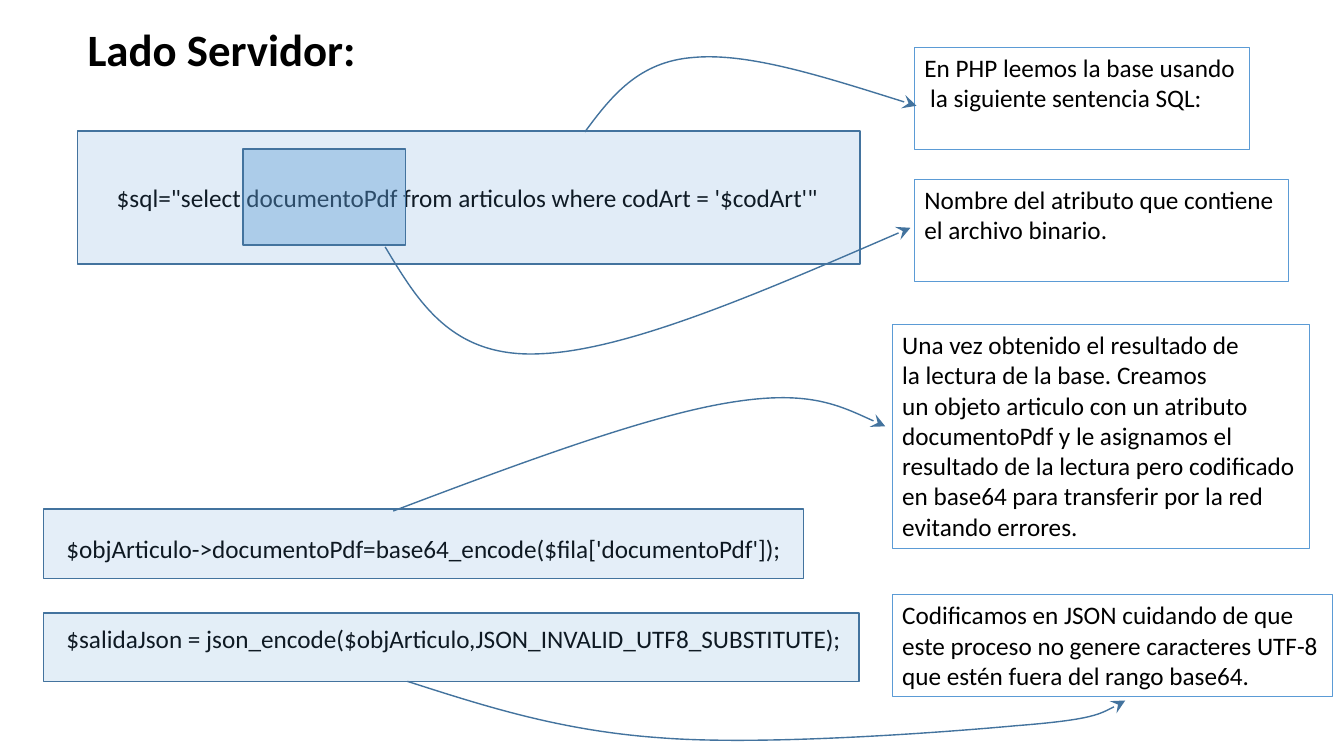
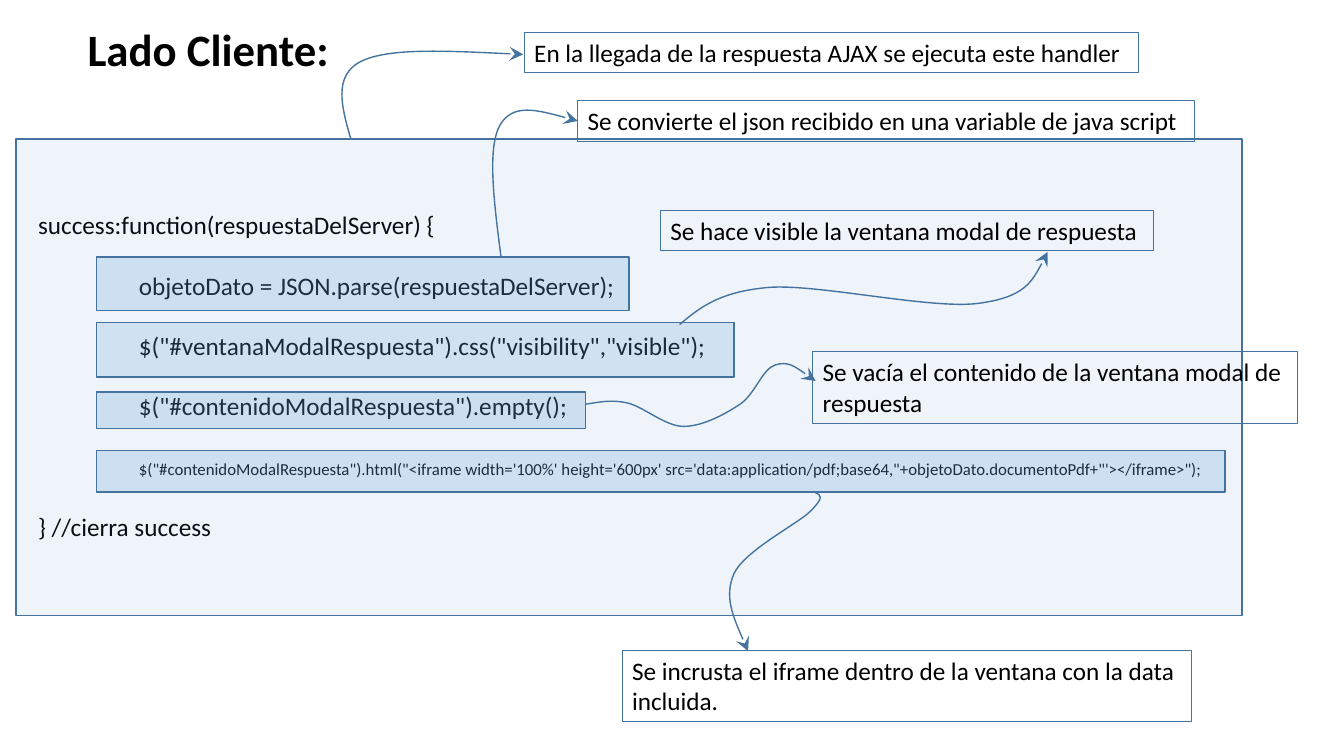
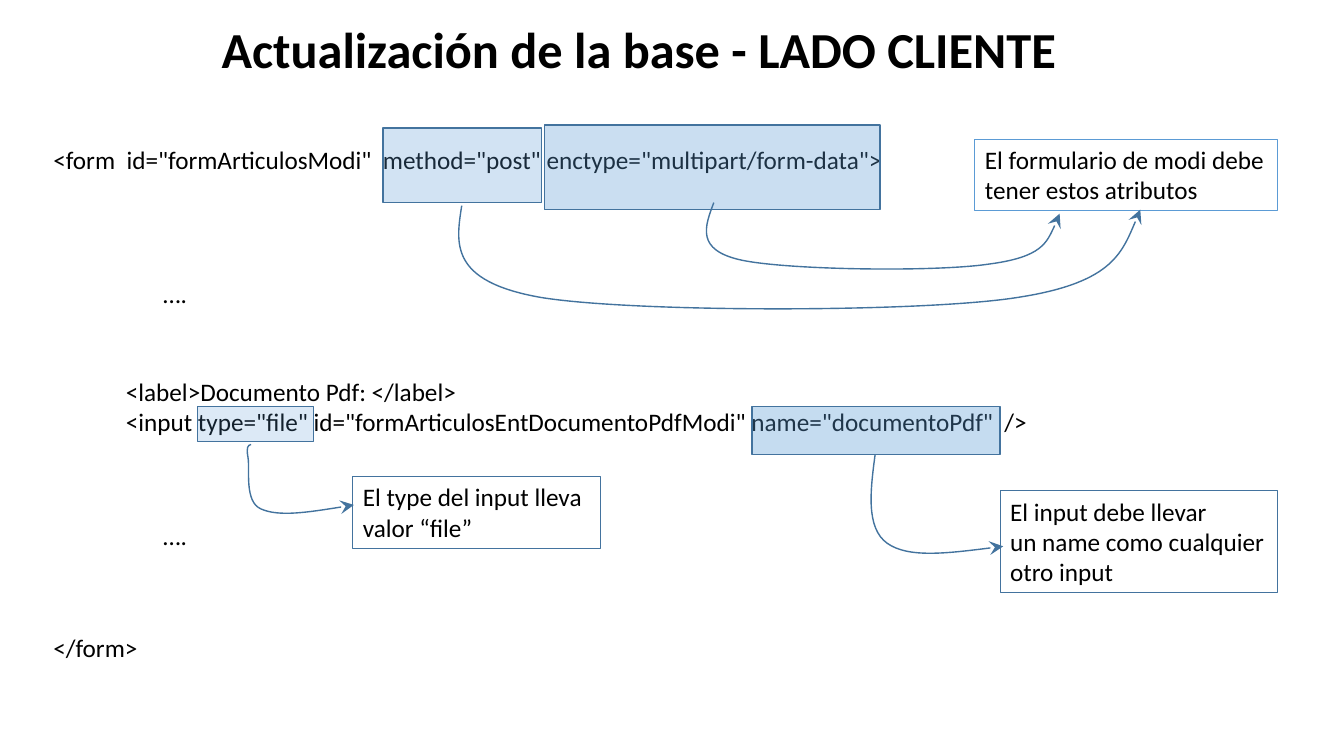
from dataclasses import dataclass

from pptx import Presentation
from pptx.dml.color import RGBColor
from pptx.enum.shapes import MSO_SHAPE
from pptx.enum.text import MSO_ANCHOR, MSO_AUTO_SIZE
from pptx.oxml.ns import qn
from pptx.oxml.xmlchemy import OxmlElement
from pptx.util import Inches, Pt

RECTANGLE = MSO_SHAPE.RECTANGLE
TOP = MSO_ANCHOR.TOP
FIXED_SIZE = MSO_AUTO_SIZE.NONE


@dataclass(frozen=True)
class Theme:
    font: str = "Calibri"
    text: RGBColor = RGBColor(0, 0, 0)
    paper: RGBColor = RGBColor(255, 255, 255)
    accent: RGBColor = RGBColor(0x5B, 0x9B, 0xD5)
    border: RGBColor = RGBColor(0x43, 0x73, 0x9E)
    body_size: int = 18
    detail_size: int = 12
    title_size: int = 32
    wide_title_size: int = 36
    blank_line: float = 21.5
    before_detail: float = 27
    after_detail: float = 23
    code_indent: float = 1
    callout_line: float = 0.75
    accent_line: float = 1


THEME = Theme()


def set_values(target, values):
    for name, value in values.items():
        setattr(target, name, value)


def set_line(shape, color, width):
    shape.line.color.rgb = color
    shape.line.width = Pt(width)


def format_run(run, size, bold=False):
    set_values(run.font, {"name": THEME.font, "size": Pt(size), "bold": bold})
    run.font.color.rgb = THEME.text


def add_text(slide, box, lines, size=THEME.body_size, bold=False, gap=0):
    shape = slide.shapes.add_textbox(*map(Inches, box))
    frame = shape.text_frame
    set_values(frame, {"word_wrap": True, "auto_size": FIXED_SIZE, "vertical_anchor": TOP})
    for index, line in enumerate(lines):
        paragraph = frame.add_paragraph() if index else frame.paragraphs[0]
        paragraph.text = line
        paragraph.space_before = Pt(gap if index else 0)
        for run in paragraph.runs:
            format_run(run, size, bold)
    return shape


def indent_paragraph(paragraph):
    properties = paragraph._p.get_or_add_pPr()
    properties.set("marL", str(Inches(THEME.code_indent)))
    properties.set("indent", "0")


def add_title(slide, box, title, size=THEME.title_size):
    add_text(slide, box, [title], size, bold=True)


def add_callout(slide, box, lines, color=THEME.border):
    shape = add_text(slide, box, lines)
    set_line(shape, color, THEME.callout_line)


def add_highlight(slide, box, opacity):
    shape = slide.shapes.add_shape(RECTANGLE, *map(Inches, box))
    shape.shadow.inherit = False
    shape.fill.solid()
    shape.fill.fore_color.rgb = THEME.accent
    alpha = OxmlElement("a:alpha")
    alpha.set("val", str(opacity * 1000))
    shape._element.spPr.find(qn("a:solidFill"))[0].append(alpha)
    set_line(shape, THEME.border, THEME.accent_line)


def add_curved_arrow(slide, start, *curves):
    builder = slide.shapes.build_freeform(*map(Inches, start), scale=1.0)
    ends = [tuple(map(Inches, curve[4:])) for curve in curves]
    builder.add_line_segments(ends, close=False)
    shape = builder.convert_to_shape()
    for segment, curve in zip(shape._element.xpath(".//a:lnTo"), curves):
        segment.tag = qn("a:cubicBezTo")
        for position, (x, y) in enumerate((curve[:2], curve[2:4])):
            point = OxmlElement("a:pt")
            point.set("x", str(Inches(x) - shape.left))
            point.set("y", str(Inches(y) - shape.top))
            segment.insert(position, point)
    shape.shadow.inherit = False
    shape.fill.background()
    set_line(shape, THEME.border, THEME.accent_line)
    arrowhead = OxmlElement("a:tailEnd")
    for name, value in {"type": "stealth", "w": "lg", "len": "lg"}.items():
        arrowhead.set(name, value)
    shape.line._get_or_add_ln().append(arrowhead)


def build_server_slide(slide):
    add_title(slide, (0.77, 0.17, 2.89, 0.64), "Lado Servidor:")
    add_text(slide, (1.06, 1.76, 7.24, 0.4),
             ["$sql=\"select documentoPdf from articulos where codArt = '$codArt'\""])
    add_text(slide, (0.56, 5.24, 7.96, 1.31), [
        "$objArticulo->documentoPdf=base64_encode($fila['documentoPdf']);",
        "$salidaJson = json_encode($objArticulo,JSON_INVALID_UTF8_SUBSTITUTE);",
    ], gap=2 * THEME.blank_line)

    for box, opacity in [
        ((0.77, 1.3, 7.76, 1.32), 18),
        ((2.41, 1.48, 1.61, 0.95), 39),
        ((0.43, 5.05, 7.54, 0.69), 16),
        ((0.43, 6.08, 8.09, 0.68), 17),
    ]:
        add_highlight(slide, box, opacity)

    for box, lines in [
        ((9.07, 0.47, 3.32, 1.01),
         ["En PHP leemos la base usando\v la siguiente sentencia SQL:"]),
        ((9.07, 1.78, 3.71, 1.01),
         ["Nombre del atributo que contiene\vel archivo binario."]),
        ((8.85, 3.22, 4.14, 2.22),
         ["Una vez obtenido el resultado de\vla lectura de la base. Creamos\v"
          "un objeto articulo con un atributo \vdocumentoPdf y le asignamos el \v"
          "resultado de la lectura pero codificado\v"
          "en base64 para transferir por la red\vevitando errores."]),
        ((8.85, 5.9, 4.37, 1.01),
         ["Codificamos en JSON cuidando de que\v"
          "este proceso no genere caracteres UTF-8",
          "que estén fuera del rango base64."]),
    ]:
        add_callout(slide, box, lines, THEME.accent)

    add_curved_arrow(slide, (5.8, 1.31), (6.06, 0.96, 6.33, 0.61, 6.88, 0.57),
                     (7.43, 0.52, 8.26, 0.79, 9.09, 1.05))
    add_curved_arrow(slide, (3.82, 2.45), (4.15, 3, 4.48, 3.55, 5.35, 3.51),
                     (6.22, 3.48, 7.62, 2.87, 9.03, 2.26))
    add_curved_arrow(slide, (3.9, 5.07), (5.14, 4.6, 6.38, 4.14, 7.2, 4),
                     (8.01, 3.86, 8.39, 4.05, 8.78, 4.23))
    add_curved_arrow(slide, (4.04, 6.76), (4.79, 7, 5.55, 7.25, 6.55, 7.32),
                     (7.56, 7.4, 9.31, 7.27, 10.08, 7.2),
                     (10.85, 7.14, 11.01, 7.04, 11.16, 6.95))


def build_client_slide(slide):
    add_title(slide, (0.77, 0.17, 2.62, 0.64), "Lado Cliente:")
    handler = add_text(slide, (0.28, 2.03, 11.86, 3.43), [
        "success:function(respuestaDelServer) { ",
        "objetoDato = JSON.parse(respuestaDelServer);",
        "$(\"#ventanaModalRespuesta\").css(\"visibility\",\"visible\");",
        "$(\"#contenidoModalRespuesta\").empty();",
        "$(\"#contenidoModalRespuesta\").html(\"<iframe width='100%' height='600px' "
        "src='data:application/pdf;base64,\"+objetoDato.documentoPdf+\"'></iframe>\");",
        "} //cierra success",
    ], gap=THEME.blank_line)
    handler.fill.solid()
    handler.fill.fore_color.rgb = THEME.paper
    _, *statements, closing = handler.text_frame.paragraphs
    for statement in statements:
        indent_paragraph(statement)
    iframe_statement = statements[-1]
    format_run(iframe_statement.runs[0], THEME.detail_size)
    iframe_statement.space_before = Pt(THEME.before_detail)
    closing.space_before = Pt(THEME.after_detail)

    add_highlight(slide, (0.16, 1.38, 12.16, 4.73), 10)
    for top, width, height, opacity in [
        (2.55, 5.28, 0.53, 22),
        (3.2, 6.32, 0.54, 20),
        (3.89, 4.85, 0.36, 23),
        (4.47, 11.19, 0.41, 22),
    ]:
        add_highlight(slide, (0.96, top, width, height), opacity)

    for box, line in [
        ((5.2, 0.32, 6.09, 0.4),
         "En la llegada de la respuesta AJAX se ejecuta este handler"),
        ((5.73, 1, 6.12, 0.4),
         "Se convierte el json recibido en una variable de java script"),
        ((6.55, 2.09, 4.89, 0.4), "Se hace visible la ventana modal de respuesta"),
        ((8.06, 3.49, 4.81, 0.71),
         "Se vacía el contenido de la ventana modal de\vrespuesta"),
        ((6.17, 6.45, 5.65, 0.71),
         "Se incrusta el iframe dentro de la ventana con la data\vincluida."),
    ]:
        add_callout(slide, box, [line])

    add_curved_arrow(slide, (3.48, 1.38), (3.39, 1.07, 3.3, 0.75, 3.58, 0.61),
                     (3.86, 0.47, 4.53, 0.51, 5.19, 0.54))
    add_curved_arrow(slide, (4.97, 2.55), (4.9, 2.01, 4.83, 1.47, 4.96, 1.24),
                     (5.09, 1.02, 5.41, 1.11, 5.73, 1.2))
    add_curved_arrow(slide, (6.74, 3.22), (6.94, 3.05, 7.14, 2.89, 7.64, 2.85),
                     (8.13, 2.82, 9.24, 3.07, 9.7, 3.01),
                     (10.16, 2.95, 10.28, 2.73, 10.39, 2.5))
    add_curved_arrow(slide, (5.81, 4.01), (5.94, 3.99, 6.07, 3.96, 6.23, 4),
                     (6.39, 4.04, 6.6, 4.23, 6.78, 4.23),
                     (6.97, 4.23, 7.19, 4.11, 7.34, 4.01),
                     (7.49, 3.91, 7.56, 3.66, 7.69, 3.62),
                     (7.82, 3.58, 7.95, 3.68, 8.09, 3.78))
    add_curved_arrow(slide, (8.09, 4.89), (8.14, 4.91, 8.18, 4.93, 8.04, 5.07),
                     (7.91, 5.2, 7.39, 5.46, 7.28, 5.69),
                     (7.18, 5.92, 7.3, 6.19, 7.42, 6.46))


def build_update_slide(slide):
    add_title(slide, (2.1, 0.13, 8.57, 0.71), "Actualización de la base - LADO CLIENTE",
              THEME.wide_title_size)
    for box, lines in [
        ((0.43, 1.38, 8.52, 0.4),
         ["<form  id=\"formArticulosModi\"  method=\"post\" enctype=\"multipart/form-data\">"]),
        ((1.15, 3.68, 9.25, 0.71),
         ["<label>Documento Pdf: </label>",
          "<input type=\"file\" id=\"formArticulosEntDocumentoPdfModi\" "
          "name=\"documentoPdf\"  />"]),
        ((0.43, 6.22, 2.18, 0.4), ["</form>"]),
        ((1.52, 2.71, 0.5, 0.4), ["…."]),
        ((1.52, 5.11, 0.5, 0.4), ["…."]),
    ]:
        add_text(slide, box, lines)

    for box, opacity in [
        ((3.8, 1.27, 1.57, 0.74), 27),
        ((5.4, 1.24, 3.33, 0.84), 32),
        ((1.96, 4.03, 1.15, 0.35), 21),
        ((7.46, 4.03, 2.46, 0.48), 35),
    ]:
        add_highlight(slide, box, opacity)

    add_callout(slide, (9.67, 1.38, 3, 0.71),
                ["El formulario de modi debe\vtener estos atributos"], THEME.accent)
    add_callout(slide, (3.5, 4.73, 2.46, 0.71),
                ["El type del input lleva \vvalor “file”"])
    add_callout(slide, (9.92, 4.87, 2.75, 1.01),
                ["El input debe llevar\vun name como cualquier\votro input"])

    add_curved_arrow(slide, (4.58, 2.04), (4.52, 2.42, 4.46, 2.79, 5.36, 2.95),
                     (6.27, 3.1, 9.04, 3.1, 10.03, 2.96),
                     (11.02, 2.82, 11.16, 2.45, 11.31, 2.08))
    add_curved_arrow(slide, (7.08, 2.01), (6.99, 2.25, 6.9, 2.48, 7.35, 2.58),
                     (7.81, 2.68, 9.28, 2.7, 9.81, 2.62),
                     (10.34, 2.55, 10.43, 2.33, 10.51, 2.12))
    add_curved_arrow(slide, (2.49, 4.41), (2.46, 4.42, 2.44, 4.43, 2.46, 4.54),
                     (2.48, 4.65, 2.42, 4.98, 2.59, 5.05),
                     (2.77, 5.13, 3.14, 5.07, 3.51, 5.01))
    add_curved_arrow(slide, (8.68, 4.51), (8.63, 4.88, 8.59, 5.24, 8.8, 5.39),
                     (9.01, 5.54, 9.48, 5.48, 9.95, 5.42))


def main():
    presentation = Presentation()
    set_values(presentation, {"slide_width": Inches(13.33), "slide_height": Inches(7.5)})
    blank_layout = presentation.slide_layouts[6]
    for build in (build_server_slide, build_client_slide, build_update_slide):
        build(presentation.slides.add_slide(blank_layout))
    presentation.save("out.pptx")


main()
